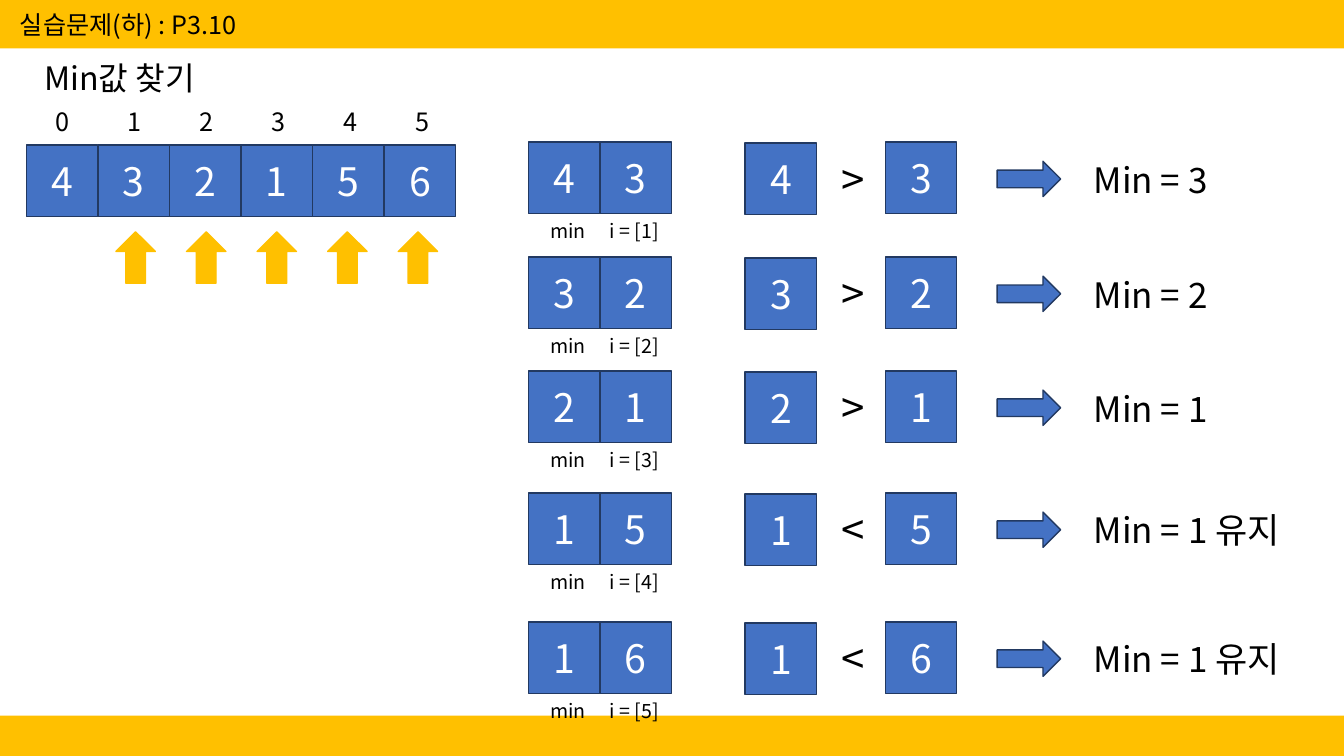
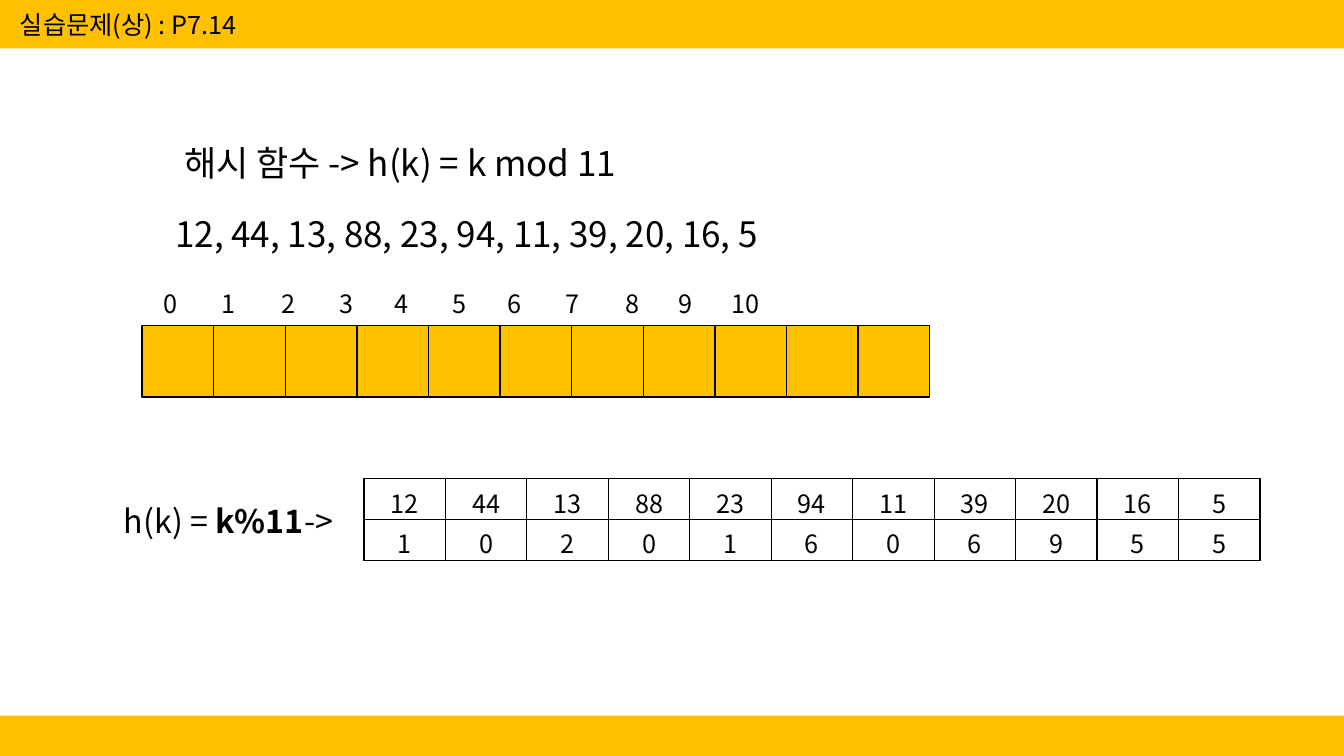
from lxml import etree
from pptx import Presentation
from pptx.dml.color import RGBColor
from pptx.enum.shapes import MSO_SHAPE as SHAPE
from pptx.enum.text import MSO_ANCHOR as ANCHOR, MSO_AUTO_SIZE as FIT, PP_ALIGN as ALIGN
from pptx.oxml.ns import qn
from pptx.util import Inches, Pt

FONT = "Noto Sans CJK KR"
GOLD = RGBColor(0xFF, 0xC0, 0x00)
BLUE = RGBColor(0x44, 0x72, 0xC4)
NAVY = RGBColor(0x22, 0x39, 0x61)
BLACK = RGBColor(0x00, 0x00, 0x00)
WHITE = RGBColor(0xFF, 0xFF, 0xFF)
WIDTH, HEIGHT = 13.33, 7.5
CELL = 0.71

NUMBERS = [4, 3, 2, 1, 5, 6]
ROW_TOPS = [1.41, 2.55, 3.68, 4.89, 6.17]
KEYS = [12, 44, 13, 88, 23, 94, 11, 39, 20, 16, 5]
SLOTS = 11
INDEX_STOPS = [0.18, 0.76, 1.35, 1.93, 2.47, 3.05, 3.59, 4.17, 4.76, 5.29, 5.89]


def add_run(p, text, size, color=BLACK, bold=None):
    """Add a run with the deck's font to a paragraph."""
    r = p.add_run()
    r.text = text
    r.font.color.rgb = color
    fmt = {"name": FONT, "size": Pt(size), "bold": bold}
    for key, value in fmt.items():
        setattr(r.font, key, value)


def set_east_asian(element):
    """Give every run below an element the deck's East Asian font."""
    for props in element.iter(qn("a:rPr")):
        etree.SubElement(props, qn("a:ea"), typeface=FONT)


def add_text(shapes, box, runs, size, wrap=True):
    """Add a text box holding (text, bold) runs and return it."""
    sp = shapes.add_textbox(*map(Inches, box))
    tf = sp.text_frame
    fmt = {"word_wrap": wrap, "auto_size": FIT.SHAPE_TO_FIT_TEXT}
    for key, value in fmt.items():
        setattr(tf, key, value)
    for text, bold in runs:
        add_run(tf.paragraphs[0], text, size, bold=bold)
    set_east_asian(sp.element)
    return sp


def add_label(shapes, box, text, size, wrap=True):
    """Add a text box with a single plain run and return it."""
    return add_text(shapes, box, [(text, None)], size, wrap)


def add_figure(shapes, kind, box, fill, line=None):
    """Add a filled preset shape, outlined if a line colour is given."""
    sp = shapes.add_shape(kind, *map(Inches, box))
    sp.shadow.inherit = False
    sp.fill.solid()
    sp.fill.fore_color.rgb = fill
    if line is None:
        sp.line.fill.background()
    else:
        sp.line.color.rgb = line
        sp.line.width = Pt(1)
    return sp


def add_cell(shapes, left, top, value):
    """Add a blue square with a centred number."""
    sp = add_figure(shapes, SHAPE.RECTANGLE, (left, top, CELL, CELL), BLUE, NAVY)
    tf = sp.text_frame
    tf.vertical_anchor = ANCHOR.MIDDLE
    p = tf.paragraphs[0]
    p.alignment = ALIGN.CENTER
    add_run(p, str(value), 28, WHITE)


def add_bands(s):
    """Put the two gold bands on the layout behind a slide."""
    tree = s.slide_layout.shapes.element
    for i, (top, height) in enumerate([(7.1, 0.4), (0, 0.48)]):
        sp = add_figure(s.shapes, SHAPE.RECTANGLE, (0, top, WIDTH, height), GOLD)
        sp.element.xpath(".//p:cNvPr")[0].set("id", str(101 + i))
        tree.insert(2 + i, sp.element)


def add_slide(prs, title):
    """Add a blank slide with its title in the top band."""
    s = prs.slides.add_slide(prs.slide_layouts[6])
    add_label(s.shapes, (0.1, 0.04, 6.67, 0.4), title, 18)
    return s


def add_array(s, left, top):
    """Draw the number array with its indexes above and arrows below."""
    g = s.shapes.add_group_shape()
    for i, value in enumerate(NUMBERS):
        add_cell(g.shapes, left + i * CELL, top, value)
        add_label(s.shapes, (left + 0.19 + i * 0.715, top - 0.43, 0.34, 0.4), str(i), 18, False)
        if i:
            box = (left + 0.19 + i * 0.7, top + 0.86, 0.39, 0.51)
            add_figure(s.shapes, SHAPE.UP_ARROW, box, GOLD, GOLD)


def add_pair(s, left, top, low, value, i):
    """Draw the current minimum beside the element being visited."""
    shapes = s.shapes.add_group_shape().shapes
    add_cell(shapes, left, top, low)
    add_cell(shapes, left + CELL, top, value)
    add_label(shapes, (left + 0.12, top + CELL, 0.59, 0.33), "min", 14)
    add_label(shapes, (left + CELL, top + CELL, 0.71, 0.33), f"i = [{i}]", 14)


def add_comparison(s, left, top, low, value):
    """Draw one comparison and the minimum that results."""
    shapes = s.shapes.add_group_shape().shapes
    add_cell(shapes, left, top + 0.01, low)
    add_cell(shapes, left + 1.39, top, value)
    sign, note, width = (">", "", 1.65) if low > value else ("<", " 유지", 2.35)
    add_label(shapes, (left + 0.86, top + 0.06, 0.63, 0.6), sign, 30)
    add_figure(shapes, SHAPE.RIGHT_ARROW, (left + 2.5, top + 0.19, 0.63, 0.35), BLUE, NAVY)
    result = f"Min = {min(low, value)}{note}"
    add_label(shapes, (left + 3.36, top + 0.11, width, 0.52), result, 25)


def add_slots(s, left, top):
    """Draw the empty hash slots under a line of tabbed indexes."""
    shapes = s.shapes.add_group_shape().shapes
    text = "".join(f"\t{i}" for i in range(SLOTS))
    sp = add_label(shapes, (left, top, 7.88, 0.4), text, 18)
    props = sp.text_frame.paragraphs[0]
    props.alignment = ALIGN.LEFT
    tabs = etree.SubElement(next(sp.element.iter(qn("a:pPr"))), qn("a:tabLst"))
    for stop in INDEX_STOPS:
        etree.SubElement(tabs, qn("a:tab"), pos=str(Inches(stop)), algn="ctr")
    for i in range(SLOTS):
        box = (left + i * CELL, top + 0.42, CELL, CELL)
        add_figure(shapes, SHAPE.RECTANGLE, box, GOLD, BLACK)


def add_borders(frame):
    """Give every cell of a table thin black borders."""
    for props in frame.element.iter(qn("a:tcPr")):
        for i, side in enumerate(["lnL", "lnR", "lnT", "lnB"]):
            ln = etree.Element(qn(f"a:{side}"), w=str(Pt(1)))
            fill = etree.SubElement(ln, qn("a:solidFill"))
            etree.SubElement(fill, qn("a:srgbClr"), val=str(BLACK))
            props.insert(i, ln)


def add_hash_table(s, left, top):
    """Add the table of keys and their hash values."""
    rows = [KEYS, [key % SLOTS for key in KEYS]]
    box = map(Inches, (left, top, 8.89, 0.81))
    frame = s.shapes.add_table(len(rows), len(KEYS), *box)
    table = frame.table
    for row, values in zip(table.rows, rows):
        for cell, value in zip(row.cells, values):
            cell.fill.background()
            p = cell.text_frame.paragraphs[0]
            p.alignment = ALIGN.CENTER
            add_run(p, str(value), 18)
    add_borders(frame)


def build_minimum(prs):
    """Build the slide that finds the minimum step by step."""
    s = add_slide(prs, "실습문제(하) : P3.10")
    add_bands(s)
    add_label(s.shapes, (0.34, 0.53, 2.13, 0.48), "Min값 찾기", 23)
    add_array(s, 0.26, 1.44)
    for i, top in enumerate(ROW_TOPS, 1):
        low, value = min(NUMBERS[:i]), NUMBERS[i]
        add_pair(s, 5.24, top, low, value, i)
        add_comparison(s, 7.39, top, low, value)


def build_hash(prs):
    """Build the slide on the hash function."""
    s = add_slide(prs, "실습문제(상) : P7.14")
    add_label(s.shapes, (1.73, 1.35, 5.51, 0.52), "해시 함수 -> h(k) = k mod 11", 25)
    add_label(s.shapes, (1.64, 2.06, 6.73, 0.52), ", ".join(map(str, KEYS)), 25)
    add_slots(s, 1.41, 2.81)
    runs = [("h(k) = ", None), ("k%11", True), ("->", False)]
    add_text(s.shapes, (1.13, 4.92, 2.33, 0.48), runs, 23)
    add_hash_table(s, 3.61, 4.75)


def main():
    """Build and save the deck."""
    prs = Presentation()
    prs.slide_width, prs.slide_height = Inches(WIDTH), Inches(HEIGHT)
    build_minimum(prs)
    build_hash(prs)
    prs.save("out.pptx")


if __name__ == "__main__":
    main()
